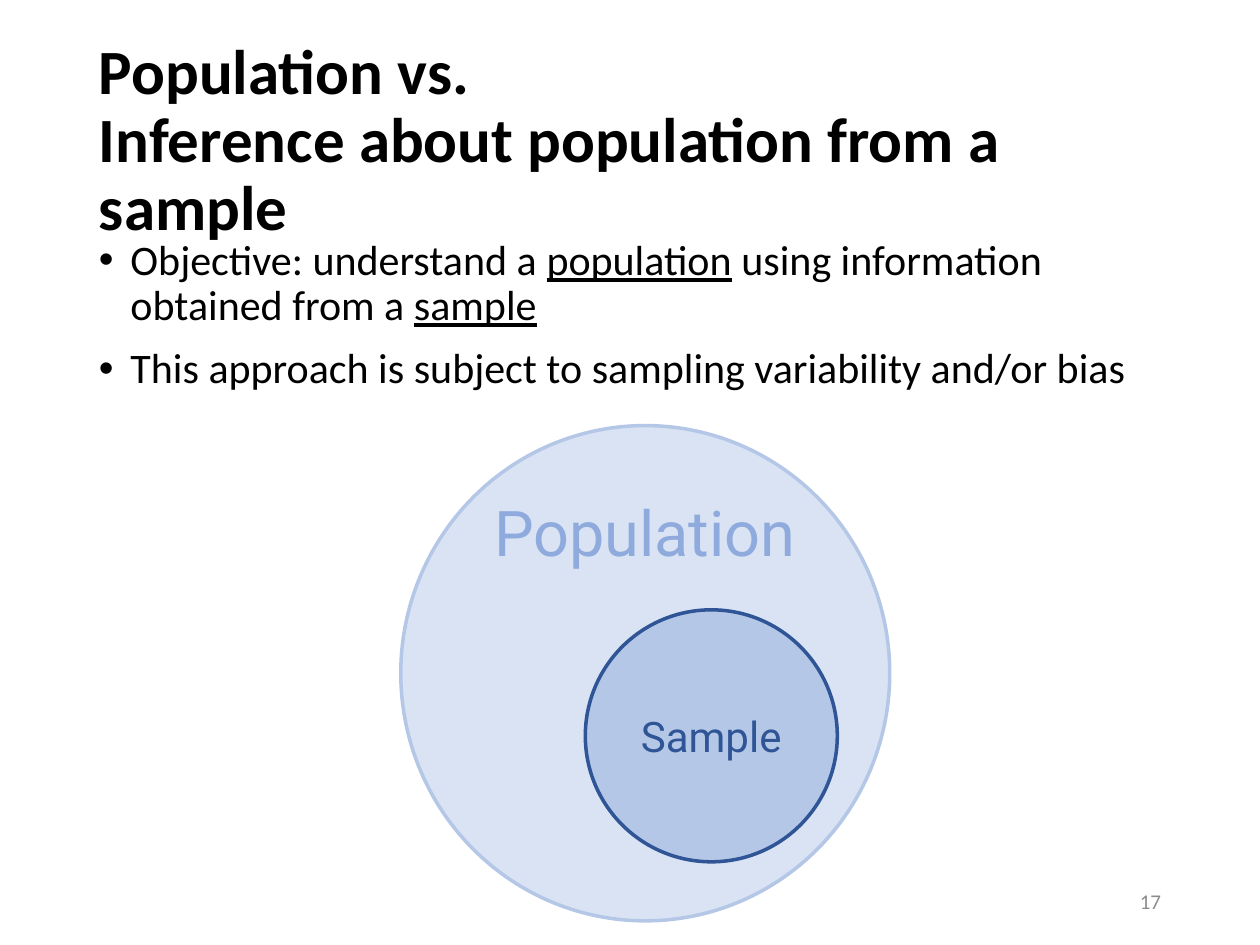
from lxml import etree
from pptx import Presentation
from pptx.dml.color import RGBColor
from pptx.enum import shapes, text
from pptx.oxml.ns import qn
from pptx.util import Pt

COLORS = {
    "black": "000000", "grey": "8C8C8C", "pale": "DAE3F3",
    "light": "B4C7E7", "medium": "8FAADC", "dark": "2F5597",
}


def add_run(para, words, size, color, font="Calibri", bold=False, underline=False):
    span = para.add_run()
    span.text = words
    span.font.name = font
    span.font.size = Pt(size)
    span.font.bold = bold
    span.font.underline = underline
    span.font.color.rgb = RGBColor.from_string(COLORS[color])


def add_box(left, top, width, height, anchor=text.MSO_ANCHOR.MIDDLE):
    box = page.shapes.add_textbox(Pt(left), Pt(top), Pt(width), Pt(height))
    box.text_frame.word_wrap = True
    box.text_frame.vertical_anchor = anchor
    return box.text_frame


deck = Presentation()
deck.slide_width, deck.slide_height = Pt(720), Pt(540)
page = deck.slides.add_slide(deck.slide_layouts[6])

# Title
para = add_box(49.5, 28.75, 621, 104.4).paragraphs[0]
para.line_spacing = 0.9
add_run(para, "Population vs. ", 36, "black", bold=True)
para.add_line_break()
add_run(para, "Inference about population from a sample", 36, "black", bold=True)

# Bullets: each is a list of (words, underlined)
bullets = [
    [("Objective: understand a ", False), ("population", True),
     (" using information obtained from a ", False), ("sample", True)],
    [("This approach is subject to sampling variability and/or bias", False)],
]
frame = add_box(49.5, 133.2, 621, 353.5, text.MSO_ANCHOR.TOP)
for index, parts in enumerate(bullets):
    para = frame.add_paragraph() if index else frame.paragraphs[0]
    para.line_spacing = 0.9
    if index:
        para.space_before = Pt(10)
    props = para._p.get_or_add_pPr()
    props.set("marL", str(Pt(18)))
    props.set("indent", str(-Pt(18)))
    etree.SubElement(props, qn("a:buFont")).set("typeface", "Arial")
    etree.SubElement(props, qn("a:buChar")).set("char", "•")
    for words, underlined in parts:
        add_run(para, words, 24, "black", underline=underlined)

# Page number
para = add_box(508.5, 500.5, 162, 28.75).paragraphs[0]
para.alignment = text.PP_ALIGN.RIGHT
add_run(para, "17", 12, "grey")

# Population circle with the sample circle inside it
circles = [
    ((229, 243.2, 279.4, 283), "pale", "light"),
    ((334.5, 348.5, 144, 144), "light", "dark"),
]
for place, fill, line in circles:
    circle = page.shapes.add_shape(shapes.MSO_SHAPE.OVAL, *map(Pt, place))
    circle.shadow.inherit = False
    circle.fill.solid()
    circle.fill.fore_color.rgb = RGBColor.from_string(COLORS[fill])
    circle.line.color.rgb = RGBColor.from_string(COLORS[line])
    circle.line.width = Pt(2)

# Circle labels
frame = add_box(278.6, 281.5, 180, 44.6)
frame.margin_left = frame.margin_right = frame.margin_top = frame.margin_bottom = 0
labels = [
    (frame, "Population", 36, "medium"),
    (circle.text_frame, "Sample", 24, "dark"),
]
for frame, words, size, color in labels:
    frame.vertical_anchor = text.MSO_ANCHOR.MIDDLE
    para = frame.paragraphs[0]
    para.alignment = text.PP_ALIGN.CENTER
    add_run(para, words, size, color, font="Roboto")

deck.save("out.pptx")
